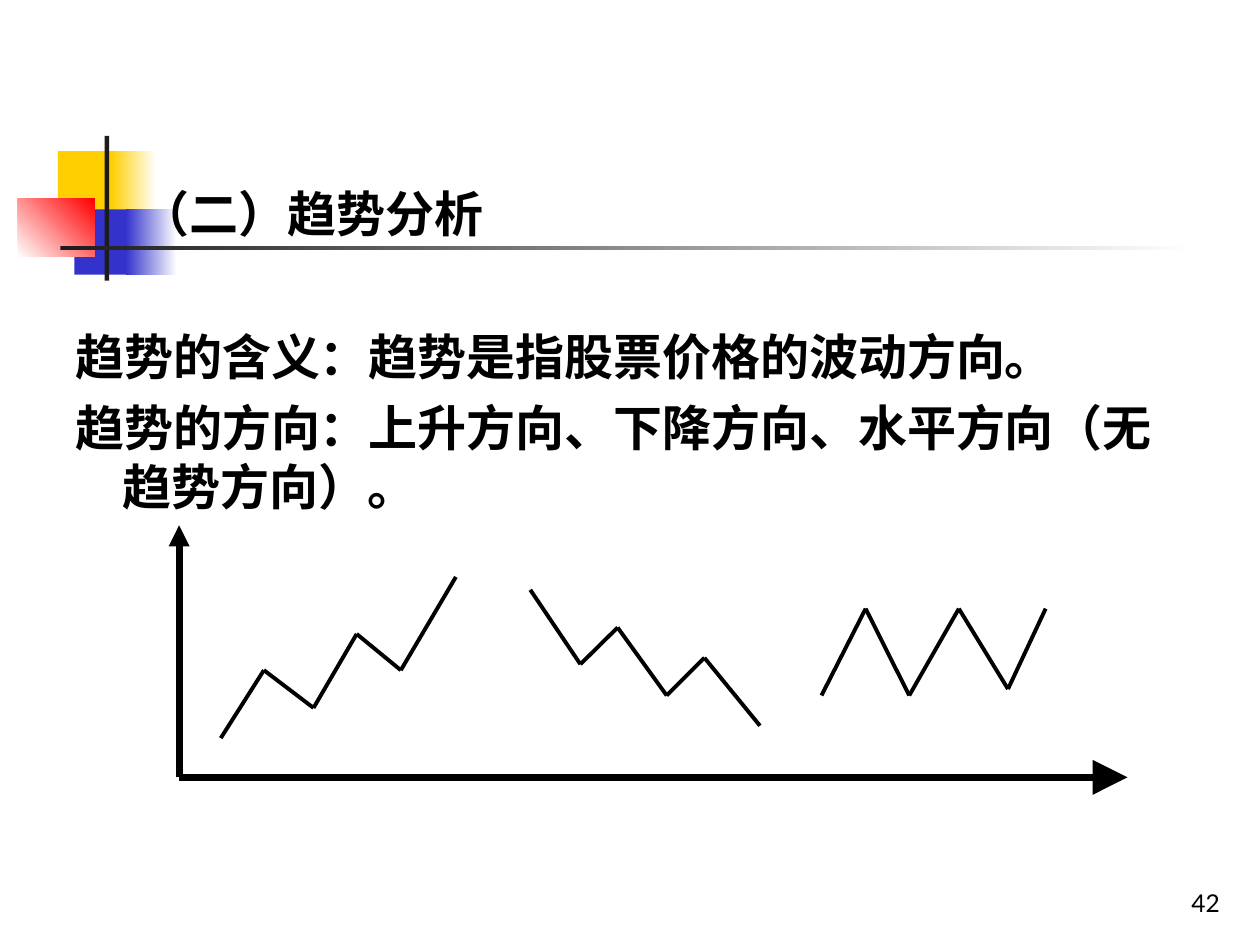
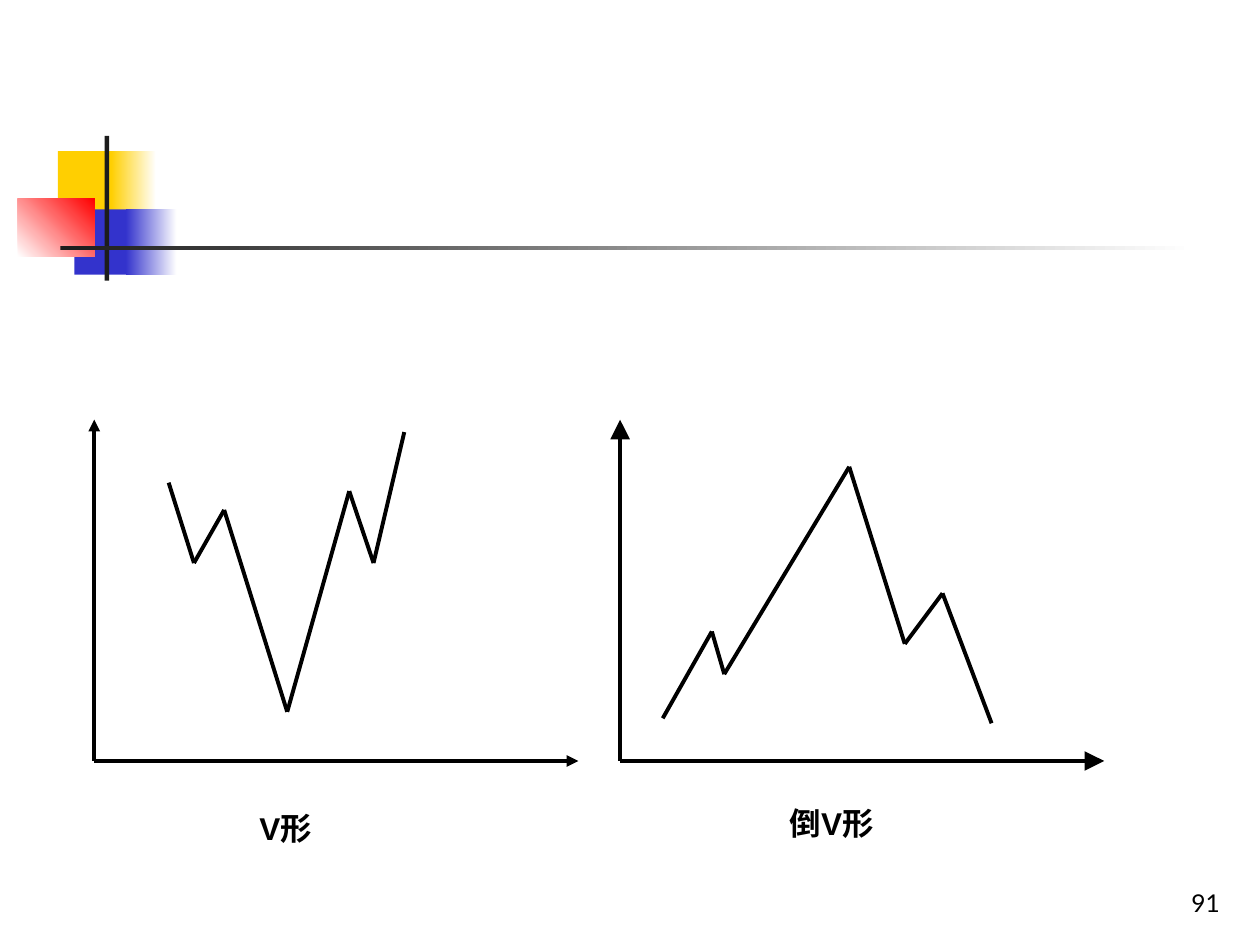
from lxml import etree
from pptx import Presentation
from pptx.dml.color import RGBColor
from pptx.enum.shapes import MSO_CONNECTOR, MSO_SHAPE
from pptx.enum.text import MSO_ANCHOR, PP_ALIGN
from pptx.oxml.ns import qn
from pptx.util import Cm, Pt

STRAIGHT = MSO_CONNECTOR.STRAIGHT
RECTANGLE = MSO_SHAPE.RECTANGLE
BOTTOM, TOP = MSO_ANCHOR.BOTTOM, MSO_ANCHOR.TOP
LEFT, RIGHT = PP_ALIGN.LEFT, PP_ALIGN.RIGHT

BLACK = RGBColor(0x00, 0x00, 0x00)
WHITE = RGBColor(0xFF, 0xFF, 0xFF)
YELLOW = RGBColor(0xFF, 0xCF, 0x01)
BLUE = RGBColor(0x33, 0x33, 0xCC)
RED = RGBColor(0xFF, 0x00, 0x00)
CHARCOAL = RGBColor(0x1C, 0x1C, 0x1C)

# Shared corner ornament: left, top, width, height, start colour, end colour, angle
ORNAMENT = [
    (1.17, 3.05, 1.22, 1.32, YELLOW, None, 0),
    (2.24, 3.05, 0.91, 1.32, YELLOW, WHITE, 0),
    (1.5, 4.22, 1.17, 1.32, BLUE, None, 0),
    (2.54, 4.22, 1.02, 1.32, BLUE, WHITE, 0),
    (0.36, 4.01, 1.55, 1.17, WHITE, RED, 45),
    (2.11, 2.74, 0.09, 2.92, CHARCOAL, None, 0),
    (1.22, 4.95, 22.86, 0.09, CHARCOAL, WHITE, 0),
]

# Texts: left, top, width, height, paragraphs, size, font, bold, hanging indent, wrap
# Axes: origin, height, width, line weight, (vertical, horizontal) arrowhead sizes
# Trends: corner points of each price path
PAGES = [
    {
        "number": "42",
        "texts": [
            (2.59, 3.58, 12, 1.5, ["（二）趋势分析"], 28, "Lato", True, 0, True),
            (1.27, 6.46, 22.86, 4.2,
             ["趋势的含义：趋势是指股票价格的波动方向。",
              "趋势的方向：上升方向、下降方向、水平方向（无趋势方向）。"],
             28, "Lato", True, 0.95, True),
        ],
        "axes": [(3.61, 15.67, 5.08, 19.12, 4, ("med", "lg"))],
        "trends": [
            [(4.45, 14.88), (5.32, 13.51), (6.32, 14.27),
             (7.19, 12.78), (8.08, 13.51), (9.19, 11.63)],
            [(10.69, 11.89), (11.7, 13.39), (12.45, 12.65),
             (13.44, 14.02), (14.2, 13.26), (15.32, 14.63)],
            [(16.56, 14.02), (17.45, 12.27), (18.33, 14.02),
             (19.33, 12.27), (20.32, 13.89), (21.08, 12.27)],
        ],
    },
    {
        "number": "91",
        "texts": [
            (4.98, 16.18, 1.7, 1.02, ["V形"], 18, "Arial", True, 0, False),
            (15.67, 16.08, 2.21, 1.78, ["倒V形"], 18, "Arial", True, 0, True),
        ],
        "axes": [
            (1.9, 15.34, 6.88, 9.76, 2.25, ("med", "med")),
            (12.5, 15.34, 6.88, 9.76, 2.25, ("lg", "lg")),
        ],
        "trends": [
            [(3.4, 9.73), (3.91, 11.35), (4.52, 10.28), (5.79, 14.35),
             (7.04, 9.9), (7.53, 11.35), (8.15, 8.71)],
            [(13.36, 14.48), (14.35, 12.73), (14.6, 13.59), (17.12, 9.41),
             (18.24, 12.98), (19, 11.96), (19.99, 14.58)],
        ],
    },
]


def add_line(page, start, end, weight, arrow=None):
    line = page.shapes.add_connector(
        STRAIGHT, Cm(start[0]), Cm(start[1]), Cm(end[0]), Cm(end[1]))
    line.line.color.rgb = BLACK
    line.line.width = Pt(weight)
    properties = line._element.spPr
    if arrow:
        etree.SubElement(properties.find(qn("a:ln")), qn("a:tailEnd"),
                         type="triangle", w=arrow, len=arrow)
    etree.SubElement(properties, qn("a:effectLst"))


def add_text(page, left, top, width, height, texts, size, font, bold,
             hanging=0, wrap=True, align=LEFT, anchor=TOP):
    box = page.shapes.add_textbox(Cm(left), Cm(top), Cm(width), Cm(height))
    frame = box.text_frame
    frame.word_wrap = wrap
    frame.vertical_anchor = anchor
    for index, text in enumerate(texts):
        paragraph = frame.add_paragraph() if index else frame.paragraphs[0]
        paragraph.text = text
        paragraph.alignment = align
        if index:
            paragraph.space_before = Pt(7)
        if hanging:
            indents = paragraph._p.get_or_add_pPr()
            indents.set("marL", str(Cm(hanging)))
            indents.set("indent", str(-Cm(hanging)))
        paragraph.font.size = Pt(size)
        paragraph.font.name = font
        paragraph.font.bold = bold
        paragraph.font.color.rgb = BLACK


deck = Presentation()
deck.slide_width, deck.slide_height = Cm(25.4), Cm(19.05)

for content in PAGES:
    page = deck.slides.add_slide(deck.slide_layouts[6])

    # Corner ornament and title rule
    for left, top, width, height, start, end, angle in ORNAMENT:
        block = page.shapes.add_shape(
            RECTANGLE, Cm(left), Cm(top), Cm(width), Cm(height))
        block.shadow.inherit = False
        block.line.fill.background()
        if end is None:
            block.fill.solid()
            block.fill.fore_color.rgb = start
        else:
            block.fill.gradient()
            block.fill.gradient_angle = angle
            for stop, colour, position in zip(
                    block.fill.gradient_stops, (start, end), (0, 1)):
                stop.color.rgb = colour
                stop.position = position

    # Page number
    add_text(page, 19.56, 17.35, 5.28, 1.27, [content["number"]], 14, "Lato",
             False, align=RIGHT, anchor=BOTTOM)

    # Title, body and captions
    for text in content["texts"]:
        add_text(page, *text)

    # Axes
    for x, y, height, width, weight, (up_arrow, right_arrow) in content["axes"]:
        add_line(page, (x, y), (x, y - height), weight, up_arrow)
        add_line(page, (x, y), (x + width, y), weight, right_arrow)

    # Price paths
    for trend in content["trends"]:
        for start, end in zip(trend, trend[1:]):
            add_line(page, start, end, 2.25)

deck.save("out.pptx")
